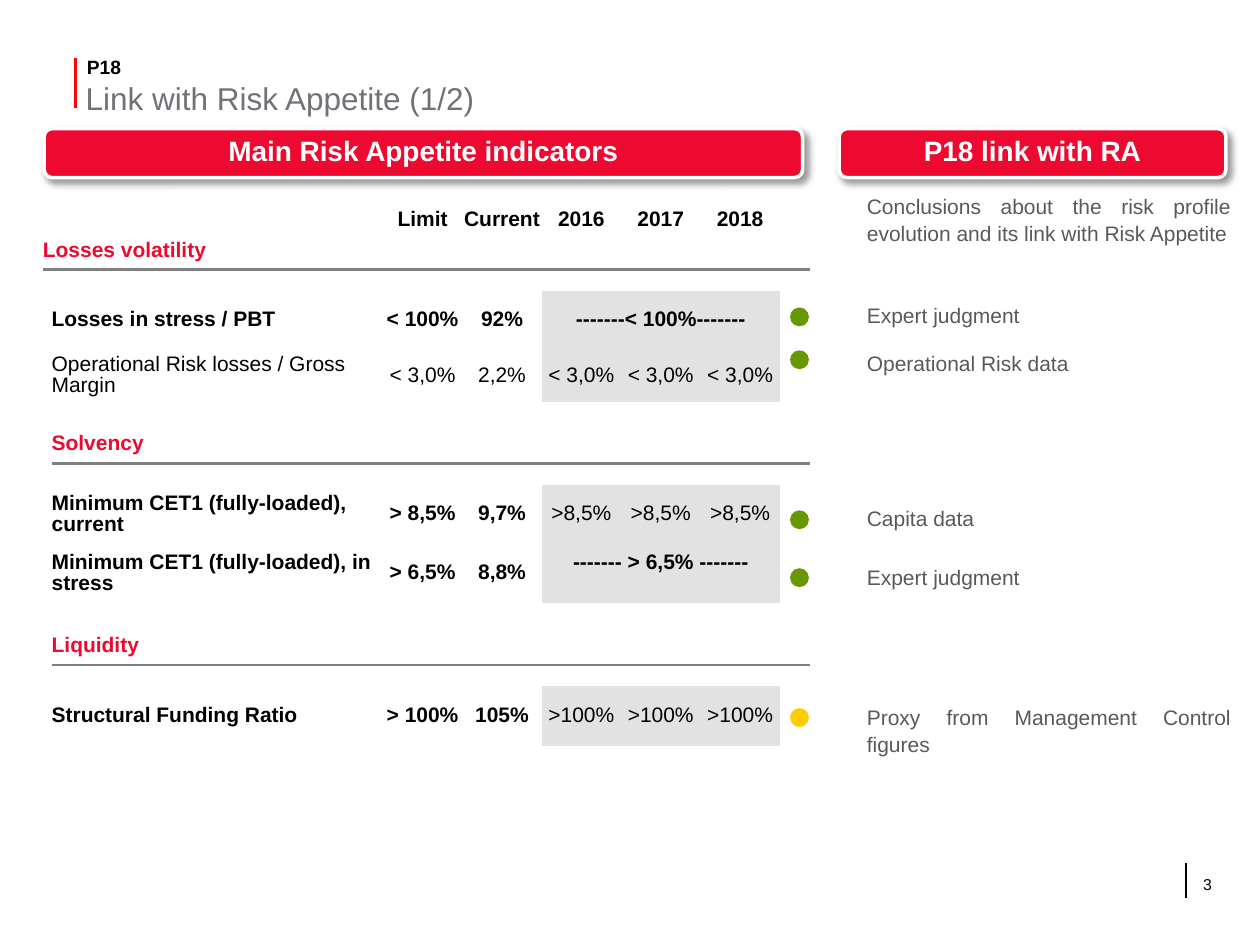
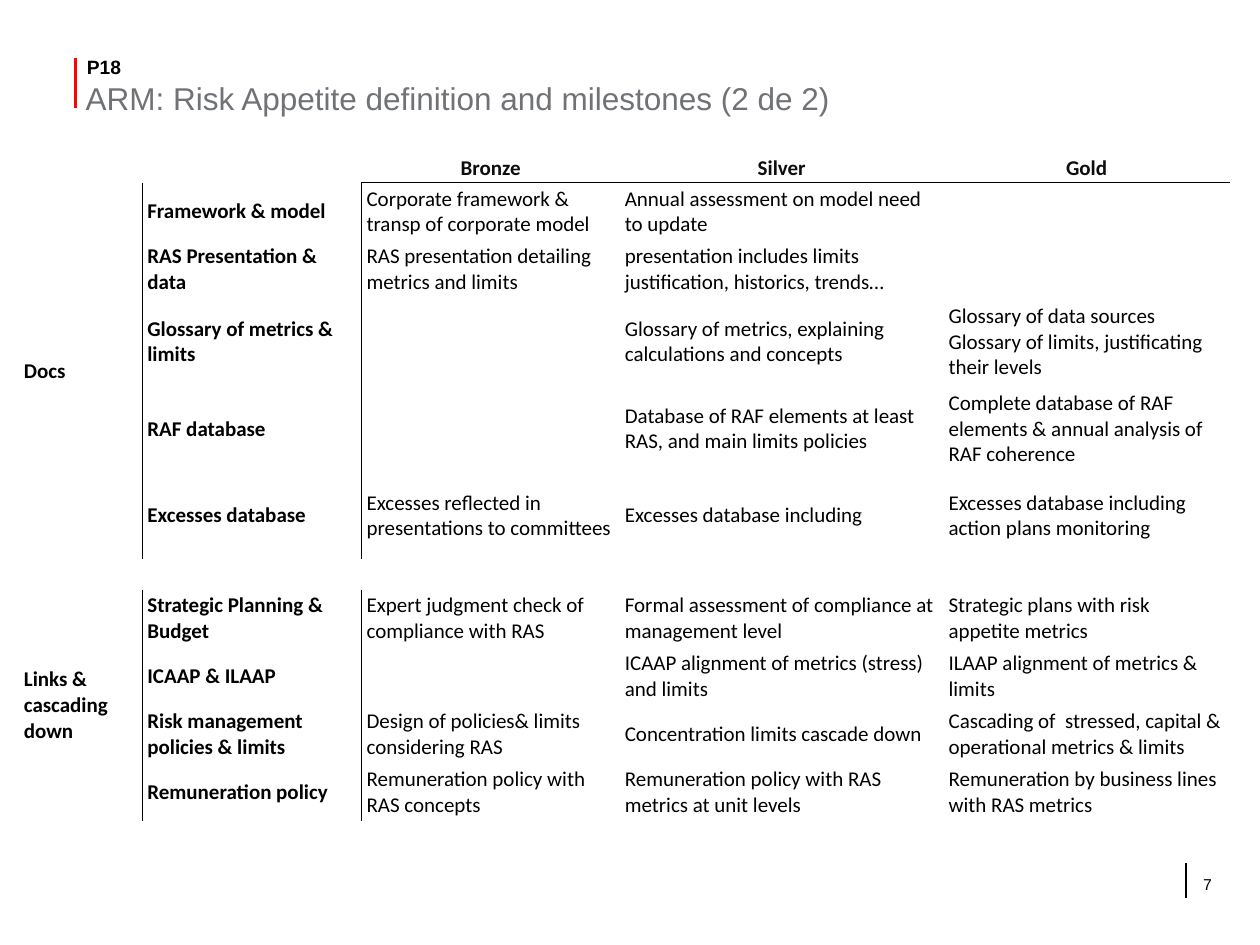
from lxml import etree
from pptx import Presentation
from pptx import util as u
from pptx.dml.color import RGBColor
from pptx.enum import shapes, text
from pptx.oxml.ns import qn

WIDTH, HEIGHT = 10, 7.5
RED, RULE_RED, GREY, TITLE_GREY = "ED092F", "FF0303", "808080", "707277"
NOTE_GREY, BAND_GREY, BLACK, WHITE = "595959", "E3E2E2", "000000", "FFFFFF"
GREEN, AMBER = "669900", "FFCC00"
NO_STYLE = "{2D5ABB26-0587-4C30-8999-92F81FD0307C}"
LEFT, CENTER, JUSTIFY = text.PP_ALIGN.LEFT, text.PP_ALIGN.CENTER, text.PP_ALIGN.JUSTIFY
TOP, MIDDLE = text.MSO_ANCHOR.TOP, text.MSO_ANCHOR.MIDDLE
BOX_INSETS = (0.1, 0.05, 0.1, 0.05)

# Indicator table: section, then (label, limit, current, years); one year value spans all years
YEARS = ("2016", "2017", "2018")
INDICATOR_COLUMNS = (0.07, 2.56, 0.07) + (0.63,) * 5 + (0.24,)
SECTIONS = [
    ("Losses volatility", 0, [
        ("Losses in stress / PBT", "< 100%", "92%", ["-------< 100%-------"], 0.47, True),
        ("Operational Risk losses / Gross Margin", "< 3,0%", "2,2%", ["< 3,0%"] * 3, 0.41, False)]),
    ("Solvency", 1, [
        ("Minimum CET1 (fully-loaded), current", "> 8,5%", "9,7%", [">8,5%"] * 3, 0.47, True),
        ("Minimum CET1 (fully-loaded), in stress", "> 6,5%", "8,8%",
         ["------- > 6,5% -------"], 0.47, True)]),
    ("Liquidity", 1, [
        ("Structural Funding Ratio", "> 100%", "105%", [">100%"] * 3, 0.47, True)]),
]
LIGHTS = [(2.44, GREEN), (2.78, GREEN), (4.05, GREEN), (4.51, GREEN), (5.62, AMBER)]
NOTES = [
    (1.47, "Conclusions about the risk profile evolution and its link with Risk Appetite"),
    (2.34, "Expert judgment"), (2.72, "Operational Risk data"), (3.95, "Capita data"),
    (4.42, "Expert judgment"), (5.53, "Proxy from Management Control figures"),
]

# Milestone table: (group, [(topic, bronze, silver, gold, row height)])
LEVELS = ("Bronze", "Silver", "Gold")
MILESTONE_COLUMNS = (0.98, 1.74, 2.05, 2.57, 2.27)
GROUPS = [
    ("Docs", [
        ("Framework & model", "Corporate framework & transp of corporate model",
         "Annual assessment on model need to update", "", 0.46),
        ("RAS Presentation & data", "RAS presentation detailing metrics and limits",
         "presentation includes limits justification, historics, trends…", "", 0.46),
        ("Glossary of metrics & limits", "",
         "Glossary of metrics, explaining calculations and concepts",
         "Glossary of data sources\nGlossary of limits, justificating their levels", 0.69),
        ("RAF database", "", "Database of RAF elements at least RAS, and main limits policies",
         "Complete database of RAF elements & annual analysis of RAF coherence", 0.69),
        ("Excesses database", "Excesses reflected in presentations to committees",
         "Excesses database including",
         "Excesses database including action plans monitoring", 0.69)]),
    ("Links & cascading down", [
        ("Strategic Planning & Budget", "Expert judgment check of compliance with RAS",
         "Formal assessment of compliance at management level",
         "Strategic plans with risk appetite metrics", 0.46),
        ("ICAAP & ILAAP", "", "ICAAP alignment of metrics (stress) and limits",
         "ILAAP alignment of metrics & limits", 0.46),
        ("Risk management policies & limits", "Design of policies& limits considering RAS",
         "Concentration limits cascade down",
         "Cascading of  stressed, capital & operational metrics & limits", 0.46),
        ("Remuneration policy", "Remuneration policy with RAS concepts",
         "Remuneration policy with RAS metrics at unit levels",
         "Remuneration by business lines with RAS metrics", 0.46)]),
]


def rgb(value):
    return RGBColor.from_string(value)


def inches(*lengths):
    return [u.Inches(length) for length in lengths]


def format_text(frame, size, color=BLACK, bold=False, align=LEFT, font="Arial", spacing=None):
    for paragraph in frame.paragraphs:
        paragraph.alignment = align
        if spacing:
            paragraph.line_spacing = spacing
        for run in paragraph.runs:
            run.font.name, run.font.size, run.font.bold = font, u.Pt(size), bold
            run.font.color.rgb = rgb(color)


def set_frame(frame, insets=BOX_INSETS, anchor=TOP):
    frame.word_wrap = True
    frame.auto_size = text.MSO_AUTO_SIZE.NONE
    frame.vertical_anchor = anchor
    (frame.margin_left, frame.margin_top,
     frame.margin_right, frame.margin_bottom) = inches(*insets)


def add_label(slide, box, words, insets=BOX_INSETS, anchor=TOP, **style):
    frame = slide.shapes.add_textbox(*inches(*box)).text_frame
    frame.text = words
    set_frame(frame, insets, anchor)
    format_text(frame, **style)


def add_vertical_rule(slide, x, top, bottom, color, weight):
    rule = slide.shapes.add_connector(
        shapes.MSO_CONNECTOR.STRAIGHT, *inches(x, top, x, bottom))
    rule.line.color.rgb, rule.line.width = rgb(color), u.Pt(weight)
    etree.SubElement(rule._element.spPr, qn("a:effectLst"))


def add_slide(presentation, title, page):
    """Slide with the shared title block and page number."""
    slide = presentation.slides.add_slide(presentation.slide_layouts[5])
    shape = slide.shapes.title
    shape.left, shape.top, shape.width, shape.height = inches(0.68, 0.6, 7.35, 0.36)
    shape.text_frame.text = title
    set_frame(shape.text_frame, (0,) * 4, MIDDLE)
    format_text(shape.text_frame, 18, TITLE_GREY)
    add_vertical_rule(slide, 0.6, 0.46, 0.86, RULE_RED, 1.5)
    add_label(slide, (0.69, 0.42, 5.06, 0.22), "P18", (0,) * 4, MIDDLE, size=11, bold=True)
    add_vertical_rule(slide, 9.41, 6.85, 7.13, BLACK, 1)
    add_label(slide, (9.45, 6.89, 0.42, 0.4), page, size=9)
    return slide


def add_shape(slide, kind, box, fill):
    shape = slide.shapes.add_shape(kind, *inches(*box))
    shape.shadow.inherit = False
    shape.fill.solid()
    shape.fill.fore_color.rgb = rgb(fill)
    return shape


def add_banner(slide, left, width, words):
    """Red heading with white outline and a soft shadow."""
    banner = add_shape(slide, shapes.MSO_SHAPE.ROUNDED_RECTANGLE, (left, 1.02, width, 0.39), RED)
    banner.line.color.rgb, banner.line.width = rgb(WHITE), u.Pt(2)
    effects = banner._element.spPr.find(qn("a:effectLst"))
    shadow = etree.SubElement(effects, qn("a:outerShdw"), blurRad=str(u.Pt(4)),
                              dist=str(u.Pt(3)), dir=str(45 * 60000), rotWithShape="0")
    color = etree.SubElement(shadow, qn("a:srgbClr"), val=BLACK)
    etree.SubElement(color, qn("a:alpha"), val="40000")
    banner.text_frame.text = words
    set_frame(banner.text_frame, (0.04, 0.05, 0.04, 0.05), MIDDLE)
    format_text(banner.text_frame, 16, WHITE, True, CENTER, spacing=u.Pt(16))


def add_light(slide, top, color):
    light = add_shape(slide, shapes.MSO_SHAPE.OVAL, (6.27, top, 0.15, 0.15), color)
    light.line.fill.background()


def add_plain_table(slide, left, top, columns, rows):
    frame = slide.shapes.add_table(
        len(rows), len(columns), *inches(left, top, sum(columns), sum(rows)))
    frame._element.find(".//" + qn("a:tableStyleId")).text = NO_STYLE
    table = frame.table
    table.first_row = table.horz_banding = False
    for column, width in zip(table.columns, columns):
        column.width = u.Inches(width)
    for row, height in zip(table.rows, rows):
        row.height = u.Inches(height)
    for cell in table.iter_cells():
        fill_cell(cell, "", (0,) * 4, size=8)
    return table


def fill_cell(cell, words, insets=(0,) * 4, fill=None, size=12, **style):
    cell.text = words
    cell.vertical_anchor = MIDDLE
    (cell.margin_left, cell.margin_top,
     cell.margin_right, cell.margin_bottom) = inches(*insets)
    if fill:
        cell.fill.solid()
        cell.fill.fore_color.rgb = rgb(fill)
    else:
        cell.fill.background()
    format_text(cell.text_frame, size, **style)
    if not words:  # keeps empty rows as low as their set height
        paragraph = cell.text_frame.paragraphs[0]._p
        for end in paragraph.findall(qn("a:endParaRPr")):
            paragraph.remove(end)
        etree.SubElement(paragraph, qn("a:endParaRPr"), sz=str(size * 100))


def set_border(cell, side, color, weight):
    line = etree.Element(qn("a:ln" + side), w=str(u.Pt(weight)))
    fill = etree.SubElement(line, qn("a:solidFill"))
    etree.SubElement(fill, qn("a:srgbClr"), val=color)
    cell._tc.get_or_add_tcPr().insert(0, line)


def add_indicator_row(table, row, indicator):
    label, limit, current, years, _, bold = indicator
    fill_cell(table.cell(row, 1), label, bold=bold, spacing=0.9)
    for column, words in enumerate((limit, current), 3):
        fill_cell(table.cell(row, column), words, bold=bold, align=CENTER, spacing=0.9)
    merged = len(years) == 1
    if merged:
        table.cell(row, 5).merge(table.cell(row, 7))
    lift = 0.17 if "6,5%" in years[0] else 0
    for column, words in enumerate(years, 5):
        fill_cell(table.cell(row, column), words, (0, 0, 0, lift), BAND_GREY,
                  bold=merged, align=CENTER, spacing=0.9)


def add_indicator_table(slide):
    heights = [0.18]
    for position, (_, _, indicators) in enumerate(SECTIONS):
        heights += [0.19] * (position > 0) + [0.3, 0.17]
        heights += [indicator[4] for indicator in indicators]
    table = add_plain_table(slide, 0.34, 1.66, INDICATOR_COLUMNS, heights)
    for column, words in enumerate(("Limit", "Current") + YEARS, 3):
        fill_cell(table.cell(0, column), words, bold=True, align=CENTER, spacing=0.9)
    row = 1
    for name, first, indicators in SECTIONS:
        table.cell(row, first).merge(table.cell(row, first + 1))
        fill_cell(table.cell(row, first), name, color=RED, bold=True, spacing=0.9)
        for column in range(first, len(INDICATOR_COLUMNS)):
            set_border(table.cell(row, column), "B", GREY, 1.5)
        for offset, indicator in enumerate(indicators, 2):
            add_indicator_row(table, row + offset, indicator)
        row += len(indicators) + 3


def add_milestone_table(slide):
    heights = [0.23]
    for position, (_, topics) in enumerate(GROUPS):
        heights += [0.24] * (position > 0) + [topic[-1] for topic in topics]
    table = add_plain_table(slide, 0.15, 1.22, MILESTONE_COLUMNS, heights)
    style = {"insets": (0.04, 0, 0.04, 0), "fill": WHITE, "font": "Calibri"}
    for column, level in enumerate(LEVELS, 2):
        fill_cell(table.cell(0, column), level, bold=True, align=CENTER, color="0D0D0D", **style)
        set_border(table.cell(0, column), "B", BLACK, 1)
    row = 1
    for group, topics in GROUPS:
        table.cell(row, 0).merge(table.cell(row + len(topics) - 1, 0))
        fill_cell(table.cell(row, 0), group, bold=True, **style)
        for offset, topic in enumerate(topics):
            for column, words in enumerate(topic[:-1], 1):
                fill_cell(table.cell(row + offset, column), words, bold=column == 1, **style)
            set_border(table.cell(row + offset, 1), "L", BLACK, 1)
        row += len(topics) + 1


def main():
    presentation = Presentation()
    presentation.slide_width, presentation.slide_height = inches(WIDTH, HEIGHT)

    # Indicators and their link
    slide = add_slide(presentation, "Link with Risk Appetite (1/2)", "3")
    add_banner(slide, 0.35, 6.02, "Main Risk Appetite indicators")
    add_indicator_table(slide)
    add_banner(slide, 6.66, 3.07, "P18 link with RA")
    for top, color in LIGHTS:
        add_light(slide, top, color)
    for top, words in NOTES:
        add_label(slide, (6.84, top, 3.03, 0.64 if top < 2 else 0.25), words,
                  (0.04, 0.05, 0.1, 0.05), size=12, color=NOTE_GREY, align=JUSTIFY, spacing=1.07)

    # Milestones
    slide = add_slide(presentation, "ARM: Risk Appetite definition and milestones (2 de 2)", "7")
    add_milestone_table(slide)
    presentation.save("out.pptx")


if __name__ == "__main__":
    main()
